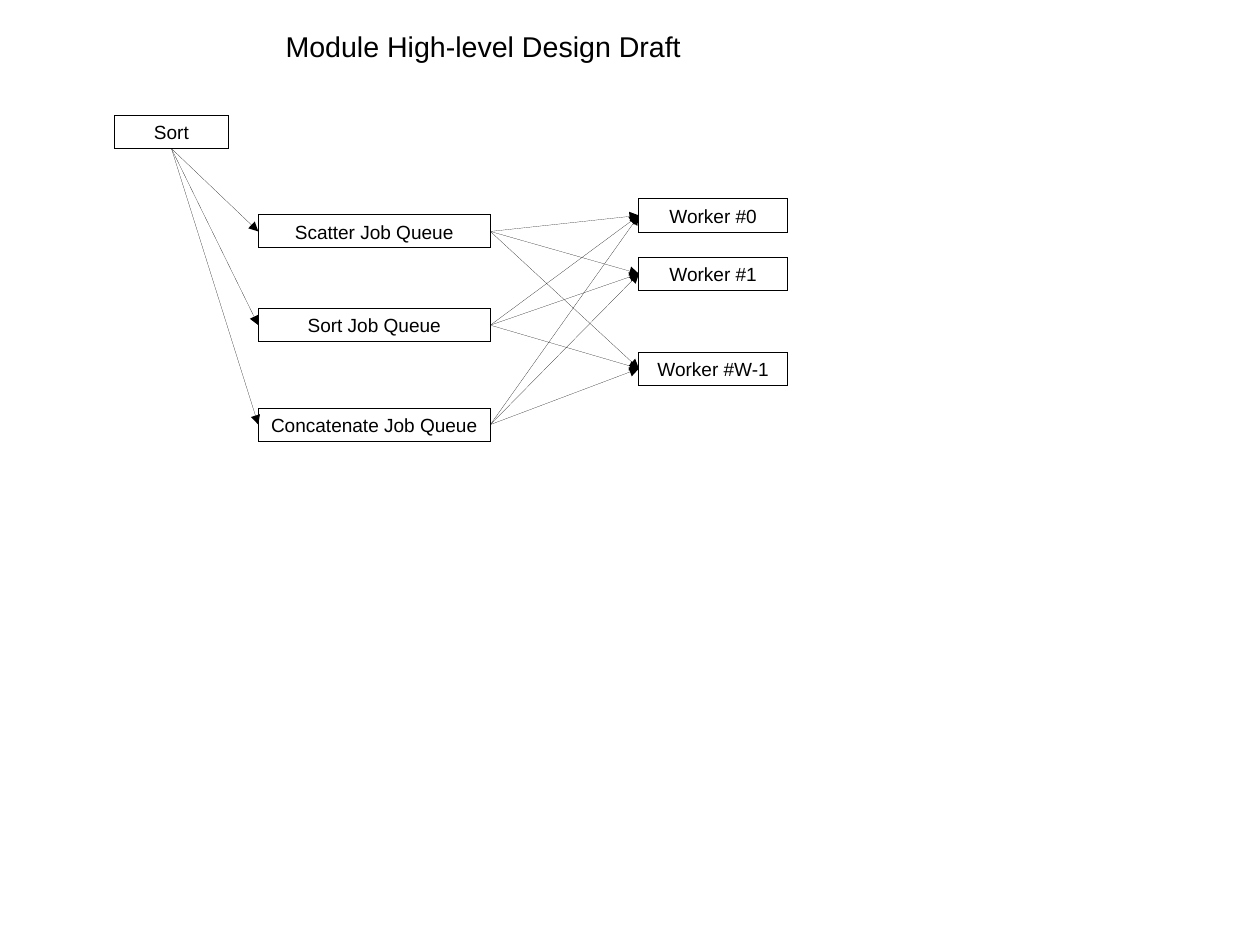
from pptx import Presentation
from pptx import util as u
from pptx.dml.color import RGBColor
from pptx.enum import shapes, text
from pptx.oxml.ns import qn
from lxml import etree

TOP, LEFT, BOTTOM, RIGHT = 0, 1, 2, 3
CM_PER_INCH = 2.54
BOX_HEIGHT = 0.29


def color(hex_string):
    return RGBColor.from_string(hex_string)


def write(frame, words, size=12, align=text.PP_ALIGN.CENTER,
          anchor=text.MSO_ANCHOR.MIDDLE, wrap=True, font="Arial", ink="000000"):
    frame.word_wrap = wrap
    frame.vertical_anchor = anchor
    paragraph = frame.paragraphs[0]
    paragraph.alignment = align
    run = paragraph.add_run()
    run.text = words
    run.font.name = font
    run.font.size = u.Pt(size)
    run.font.color.rgb = color(ink)


class Diagram:
    ink = "000000"

    def __init__(self, slide):
        self.slide = slide

    def hairline(self, part):
        """Set the outline to width 0, which line.width would leave unwritten."""
        part.line.color.rgb = color(self.ink)
        outline = part._element.spPr.find(qn("a:ln"))
        outline.set("w", "0")
        return outline

    def title(self, words, left, top, width, height):
        heading = self.slide.shapes.add_textbox(
            u.Inches(left), u.Inches(top), u.Inches(width), u.Inches(height))
        write(heading.text_frame, words, size=18, align=text.PP_ALIGN.LEFT,
              anchor=text.MSO_ANCHOR.TOP, wrap=False, ink=self.ink)
        heading.text_frame.auto_size = text.MSO_AUTO_SIZE.SHAPE_TO_FIT_TEXT

    def box(self, words, left, top, width):
        module = self.slide.shapes.add_shape(
            shapes.MSO_SHAPE.RECTANGLE, u.Inches(left), u.Inches(top),
            u.Inches(width), u.Inches(BOX_HEIGHT))
        module.shadow.inherit = False
        module.fill.background()
        self.hairline(module)
        write(module.text_frame, words, ink=self.ink)
        return module

    def arrow(self, source, source_side, target, target_side):
        link = self.slide.shapes.add_connector(
            shapes.MSO_CONNECTOR.STRAIGHT, 0, 0, 0, 0)
        link.begin_connect(source, source_side)
        link.end_connect(target, target_side)
        etree.SubElement(self.hairline(link), qn("a:tailEnd"), type="triangle")
        etree.SubElement(link._element.spPr, qn("a:effectLst"))


def main():
    deck = Presentation()
    deck.slide_width = u.Inches(28 / CM_PER_INCH)
    deck.slide_height = u.Inches(21 / CM_PER_INCH)
    diagram = Diagram(deck.slides.add_slide(deck.slide_layouts[6]))

    diagram.title("Module High-level Design Draft", 2.4, 0.2, 3.66, 0.38)
    sort = diagram.box("Sort", 1, 1.01, 1)
    queues = [diagram.box(f"{job} Job Queue", 2.26, top, 2.03)
              for job, top in (("Scatter", 1.88), ("Sort", 2.7), ("Concatenate", 3.57))]
    workers = [diagram.box(f"Worker #{number}", 5.59, top, 1.3)
               for number, top in (("0", 1.74), ("1", 2.25), ("W-1", 3.08))]

    for queue in queues:
        diagram.arrow(sort, BOTTOM, queue, LEFT)
        for worker in workers:
            diagram.arrow(queue, RIGHT, worker, LEFT)

    deck.save("out.pptx")


if __name__ == "__main__":
    main()
